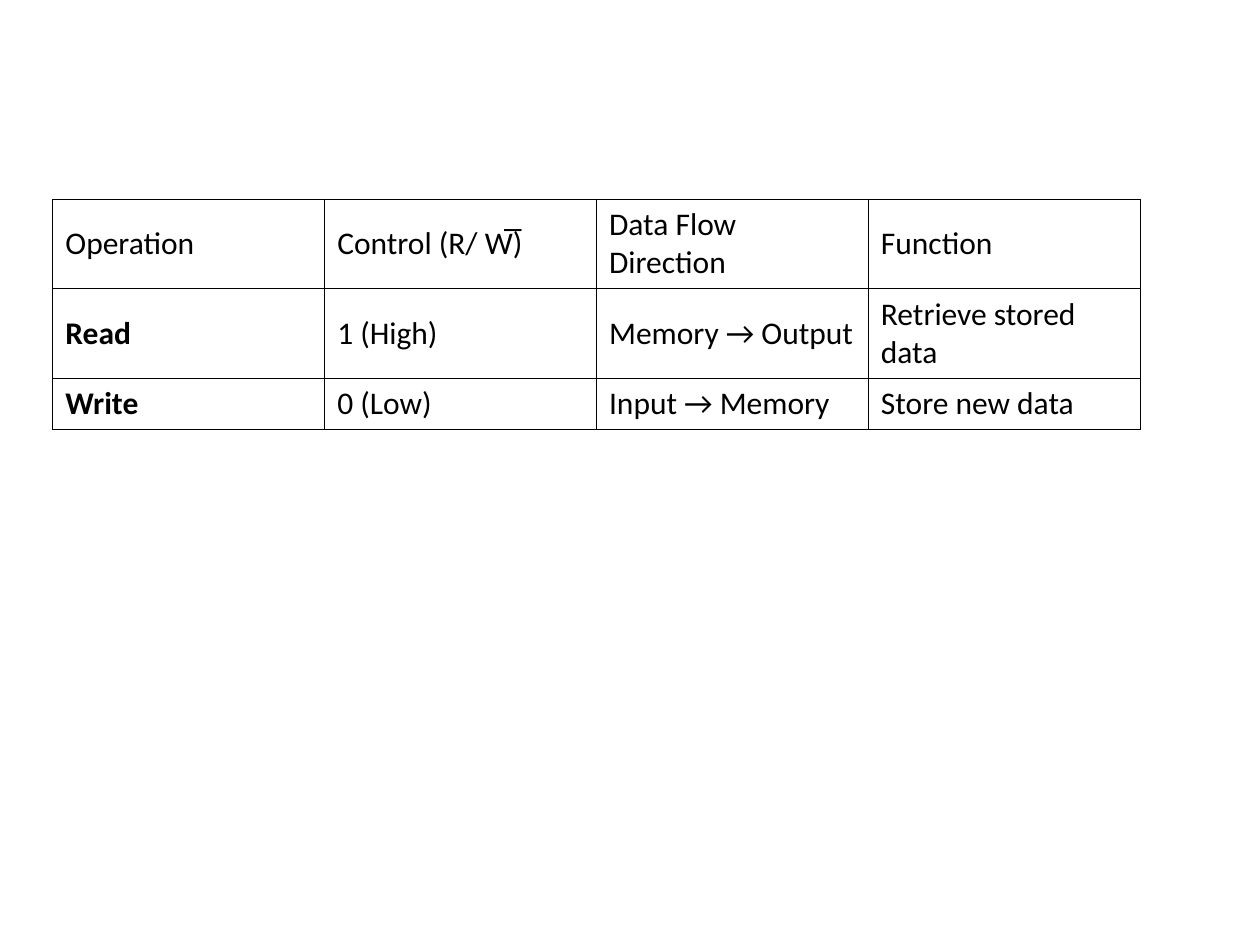
import pptx
import pptx.dml.color
import pptx.enum.text
import pptx.oxml
import pptx.oxml.ns
import pptx.util

Pt = pptx.util.Pt

# Content: header row, then one row per memory operation
OPERATIONS = [
    ("Operation", "Control (R/ W̅)", "Data Flow Direction", "Function"),
    ("Read", "1 (High)", "Memory → Output", "Retrieve stored data"),
    ("Write", "0 (Low)", "Input → Memory", "Store new data"),
]

# Geometry in points
LEFT, TOP = 30.2, 113.8
COLUMN_WIDTH = 155.34
ROW_HEIGHTS = (50.4, 50.4, 28.8)
BORDER_WIDTH = 0.45
INK = "000000"


def color(hex_value):
    return pptx.dml.color.RGBColor.from_string(hex_value)


def write(cell, text, *, size=18, bold=False, font="Calibri", ink=INK):
    run = cell.text_frame.paragraphs[0].add_run()
    run.text = text
    run.font.size = Pt(size)
    run.font.bold = bold
    run.font.name = font
    run.font.color.rgb = color(ink)


def add_borders(cell):
    properties = cell._tc.get_or_add_tcPr()
    for position, side in enumerate(("lnL", "lnR", "lnT", "lnB")):
        border = pptx.oxml.parse_xml(
            f'<a:{side} {pptx.oxml.ns.nsdecls("a")} w="{Pt(BORDER_WIDTH)}">'
            f'<a:solidFill><a:srgbClr val="{INK}"/></a:solidFill></a:{side}>'
        )
        properties.insert(position, border)


# Slide
deck = pptx.Presentation()
deck.slide_width, deck.slide_height = Pt(720), Pt(540)
slide = deck.slides.add_slide(deck.slide_layouts[6])

# Table of operations
column_count = len(OPERATIONS[0])
operations = slide.shapes.add_table(
    len(OPERATIONS), column_count, Pt(LEFT), Pt(TOP),
    Pt(COLUMN_WIDTH * column_count), Pt(sum(ROW_HEIGHTS)),
).table
operations.first_row = operations.horz_banding = False
for column in operations.columns:
    column.width = Pt(COLUMN_WIDTH)
for row, height in zip(operations.rows, ROW_HEIGHTS):
    row.height = Pt(height)

# Cells: operation names are bold
for r, entries in enumerate(OPERATIONS):
    for c, entry in enumerate(entries):
        cell = operations.cell(r, c)
        cell.fill.background()
        cell.vertical_anchor = pptx.enum.text.MSO_ANCHOR.MIDDLE
        cell.margin_left = cell.margin_right = Pt(7.2)
        cell.margin_top = cell.margin_bottom = Pt(3.6)
        add_borders(cell)
        write(cell, entry, bold=r > 0 and c == 0)

deck.save("out.pptx")
